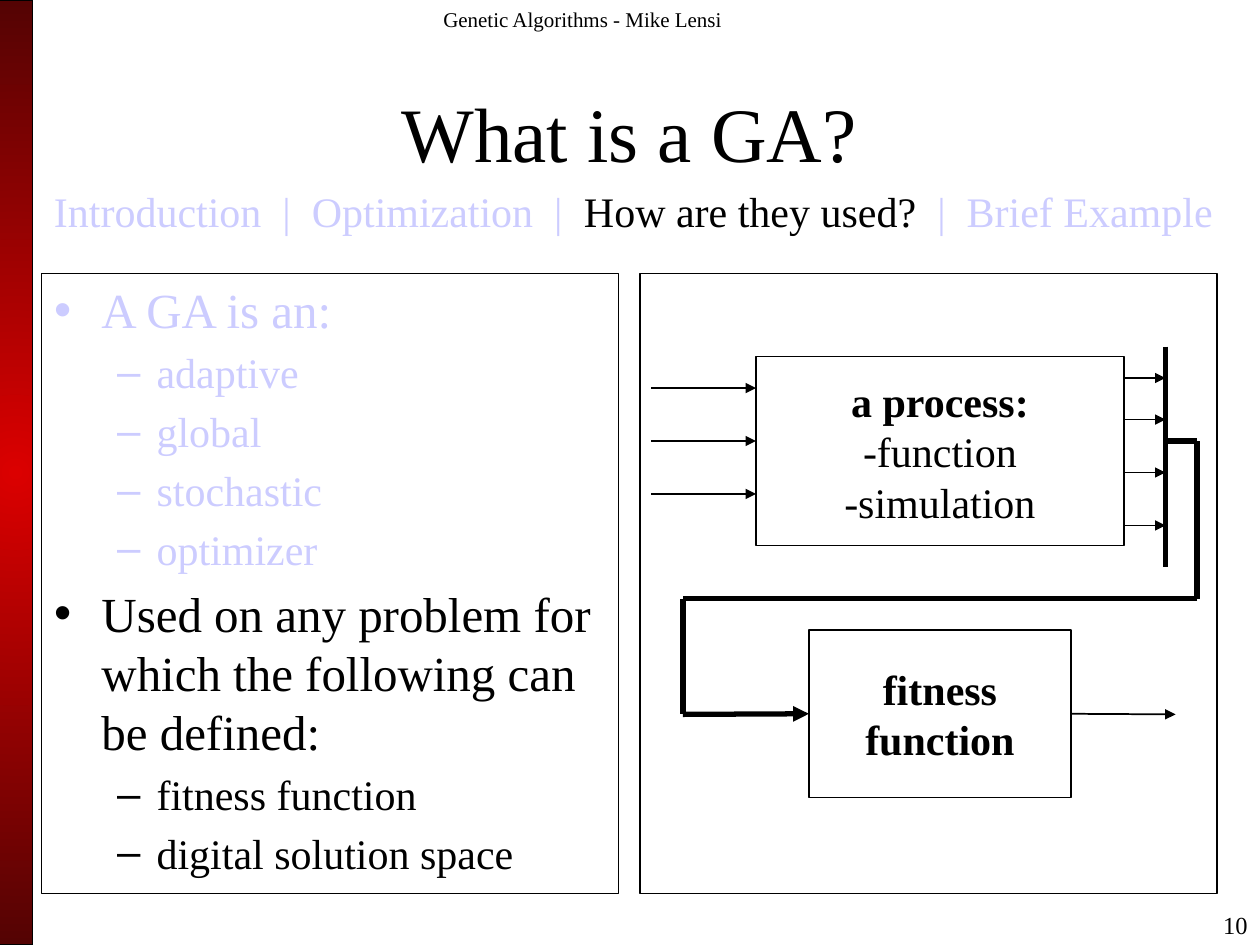
"""Builds the "What is a GA?" slide with its process and fitness function diagram."""
from lxml import etree
from pptx import Presentation
from pptx.dml.color import RGBColor
from pptx.enum import shapes, text
from pptx.oxml import ns
from pptx.util import Inches, Pt

BLACK, FADED, FONT = "000000", "CCCCFF", "Times New Roman"


def style(font, size, color=BLACK, bold=False):
    font.name, font.size, font.bold = FONT, Pt(size), bold
    font.color.rgb = RGBColor.from_string(color)


def add_line(x1, y1, x2, y2, width=1, arrow=False):
    line = slide.shapes.add_connector(
        shapes.MSO_CONNECTOR.STRAIGHT, Inches(x1), Inches(y1), Inches(x2), Inches(y2))
    line.line.width = Pt(width)
    line.line.color.rgb = RGBColor.from_string(BLACK)
    if arrow:
        etree.SubElement(line.line._get_or_add_ln(), ns.qn("a:tailEnd"), type="triangle")
    etree.SubElement(line._element.spPr, ns.qn("a:effectLst"))
    return line


prs = Presentation()
prs.slide_width, prs.slide_height = Inches(10), Inches(7.5)
slide = prs.slides.add_slide(prs.slide_layouts[1])
title, points = slide.placeholders

title.left, title.top, title.width, title.height = map(Inches, (0.33, 0.67, 9.33, 0.75))
title.text_frame.text = "What is a GA?"
title.text_frame.auto_size = text.MSO_AUTO_SIZE.NONE
title.text_frame.vertical_anchor = text.MSO_ANCHOR.MIDDLE
style(title.text_frame.paragraphs[0].font, 44)

points.left, points.top, points.width, points.height = map(Inches, (0.33, 2.17, 4.58, 4.92))
points.line.width = Pt(0.75)
points.line.color.rgb = RGBColor.from_string(BLACK)
outline = [
    (0, "A GA is an:", FADED),
    (1, "adaptive", FADED),
    (1, "global", FADED),
    (1, "stochastic", FADED),
    (1, "optimizer", FADED),
    (0, "Used on any problem for which the following can be defined:", BLACK),
    (1, "fitness function", BLACK),
    (1, "digital solution space", BLACK),
]
points.text_frame.text = "\n".join(words for _, words, _ in outline)
points.text_frame.auto_size = text.MSO_AUTO_SIZE.NONE
for paragraph, (level, _, color) in zip(points.text_frame.paragraphs, outline):
    paragraph.level = level
    style(paragraph.font, 24 if level else 28, color)
points.text_frame.paragraphs[0].space_before = Pt(0)

boxes = []
for left, top, width, height, lines in [
    (-0.01, 0, 0.27, 7.5, []),
    (5.08, 2.17, 4.58, 4.92, []),
    (6, 2.83, 2.92, 1.5, [("a process:", True), ("-function", False), ("-simulation", False)]),
    (6.42, 5, 2.08, 1.33, [("fitness", True), ("function", True)]),
]:
    box = slide.shapes.add_shape(
        shapes.MSO_SHAPE.RECTANGLE, Inches(left), Inches(top), Inches(width), Inches(height))
    box.shadow.inherit = False
    box.fill.background()
    box.line.width = Pt(0.75)
    box.line.color.rgb = RGBColor.from_string(BLACK)
    if lines:
        box.text_frame.word_wrap = False
        box.text_frame.vertical_anchor = text.MSO_ANCHOR.MIDDLE
        box.text_frame.text = "\n".join(words for words, _ in lines)
        for paragraph, (_, bold) in zip(box.text_frame.paragraphs, lines):
            paragraph.alignment = text.PP_ALIGN.CENTER
            style(paragraph.font, 24, bold=bold)
    boxes.append(box)
side_bar, _, _, fitness = boxes

side_bar.fill.gradient()
for stop, color in zip(side_bar.fill.gradient_stops, ("DB0000", "540303")):
    stop.color.rgb = RGBColor.from_string(color)
gradient = side_bar._element.spPr.find(ns.qn("a:gradFill"))
gradient.remove(gradient.find(ns.qn("a:lin")))
glow = etree.SubElement(gradient, ns.qn("a:path"), path="circle")
etree.SubElement(glow, ns.qn("a:fillToRect"), l="50000", t="50000", r="50000", b="50000")

for left, top, width, height, size, align, runs in [
    (3.42, 0, 3.17, 0.33, 12, text.PP_ALIGN.LEFT, [("Genetic Algorithms - Mike Lensi", BLACK)]),
    (7.92, 7.17, 2.08, 0.33, 14, text.PP_ALIGN.RIGHT, [("10", BLACK)]),
    (0.33, 1.42, 9.5, 0.5, 24, text.PP_ALIGN.LEFT, [
        ("Introduction  |  Optimization  |  ", FADED),
        ("How are they used?", BLACK),
        ("  |  Brief Example", FADED)]),
]:
    label = slide.shapes.add_textbox(Inches(left), Inches(top), Inches(width), Inches(height))
    label.text_frame.word_wrap = True
    paragraph = label.text_frame.paragraphs[0]
    paragraph.alignment = align
    for words, color in runs:
        run = paragraph.add_run()
        run.text = words
        style(run.font, size, color)

for y in (3.08, 3.5, 3.92):
    add_line(5.17, y, 6, y, arrow=True)
for y in (3, 3.33, 3.75, 4.17):
    add_line(8.92, y, 9.25, y, arrow=True)

add_line(9.25, 2.75, 9.25, 4.5, 3)
feedback = [(9.25, 3.5), (9.5, 3.5), (9.5, 4.75), (5.42, 4.75), (5.42, 5.67)]
for start, end in zip(feedback, feedback[1:]):
    add_line(*start, *end, 3)
add_line(5.42, 5.67, 6.42, 5.67, 3, arrow=True).end_connect(fitness, 1)
add_line(8.5, 5.67, 9.33, 5.67, arrow=True).begin_connect(fitness, 3)

prs.save("out.pptx")
